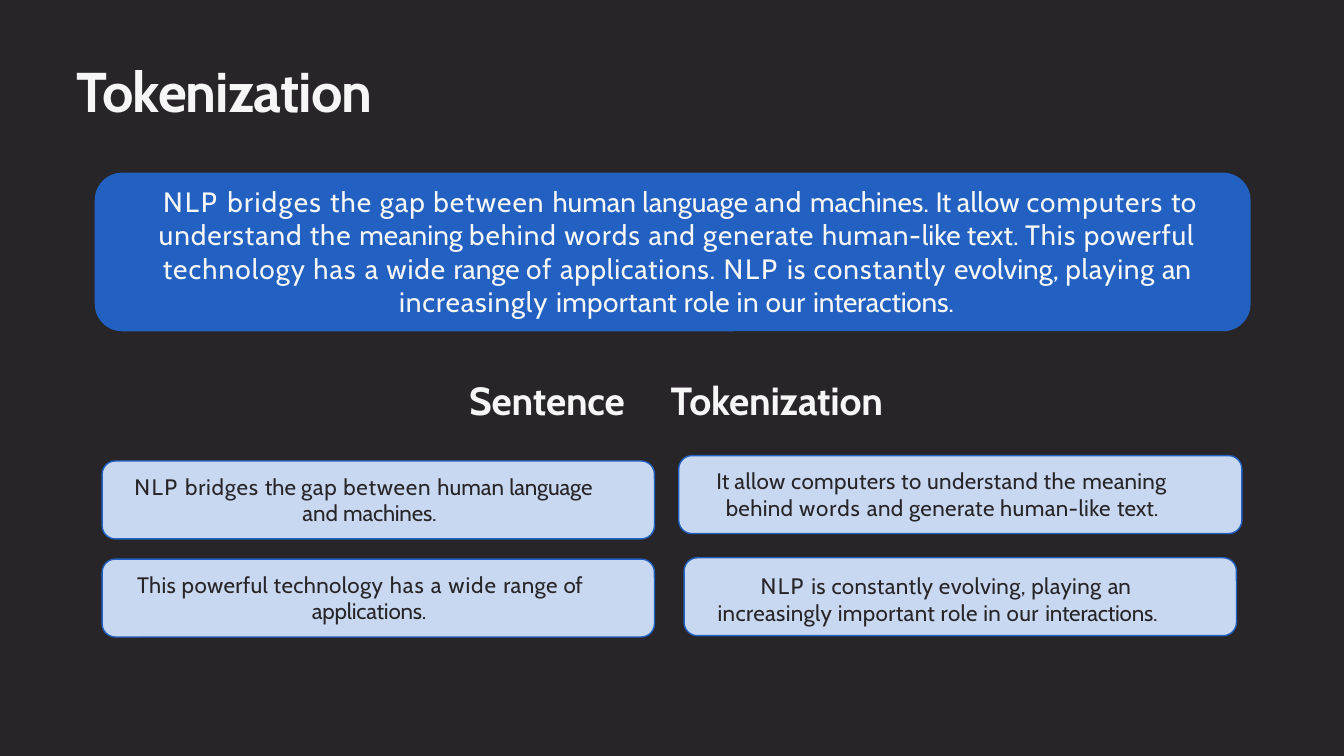
from pptx import Presentation
from pptx.dml.color import RGBColor
from pptx.enum.shapes import MSO_SHAPE
from pptx.enum.text import MSO_ANCHOR, MSO_AUTO_SIZE, PP_ALIGN
from pptx.oxml import parse_xml
from pptx.oxml.ns import nsdecls
from pptx.util import Inches, Pt

FONT = "Cabin"
DARK = RGBColor(0x27, 0x25, 0x28)
LIGHT = RGBColor(0xF6, 0xF6, 0xF6)
BLUE = RGBColor(0x22, 0x61, 0xC1)
PALE_BLUE = RGBColor(0xC8, 0xD8, 0xF0)

# Each span is a text and its letter spacing in points.
SUMMARY = [
    ("NLP ", 1.1), ("bridges ", 0.7), ("the ", 0.6), ("gap between ", 0.6),
    ("human language ", 0), ("and ", 0.6), ("machines. ", 0), ("It ", -0.3),
    ("allow ", 0.1), ("computers ", 0.6), ("to ", 0.3), ("understand the ", 0.5),
    ("meaning ", 0), ("behind ", 0.5), ("words ", 0.6), ("and generate ", 0.5),
    ("human-", 0.4), ("like text. ", 0), ("This ", 0.5), ("powerful ", 0.4),
    ("technology has ", 0.6), ("a ", 0.5), ("wide ", 0.5), ("range ", 0),
    ("of ", 0.6), ("applications. ", 0.4), ("NLP ", 1), ("is constantly ", 0.5),
    ("evolving, ", 0), ("playing ", 0.4), ("an ", -0.2), ("increasingly ", 0.5),
    ("important role in our ", 0.2), ("interactions.", -0.1),
]

# Card frame, text frame, left margin and first-line indent, spans.
SENTENCES = [
    ((5.05, 3.39, 4.19, 0.58), (5.32, 3.46, 3.65, 0.43), (0.08, -0.07), [
        ("It ", 0), ("allow computers to understand the ", 0.2),
        ("meaning ", 0.1), ("behind ", 0.2), ("words ", 0.5),
        ("and generate human-like ", 0.2), ("text.", 0)]),
    ((0.76, 4.16, 4.11, 0.58), (1.01, 4.23, 3.62, 0.43), (1.31, -1.3), [
        ("This powerful technology", 0.2), (" has a wide ", 0.5),
        ("range ", 0.2), ("of ", -0.2), ("applications.", -0.1)]),
    ((0.76, 3.43, 4.11, 0.58), (0.98, 3.5, 3.72, 0.43), (1.27, -1.25), [
        ("NLP ", 0.8), ("bridges ", 0.4), ("the ", 0), ("gap ", 0.4),
        ("between ", 0.4), ("human ", 0), ("language ", -0.1),
        ("and ", 0), ("machines.", -0.1)]),
    ((5.09, 4.15, 4.11, 0.58), (5.33, 4.24, 3.63, 0.43), (0.01, 0.32), [
        ("NLP ", 0.8), ("is constantly evolving, playing ", 0.2), ("an ", -0.2),
        ("increasingly important role in our ", 0.2), ("interactions.", -0.1)]),
]


def place(shape, frame):
    shape.left, shape.top, shape.width, shape.height = map(Inches, frame)


def add_card(page, frame, fill):
    card = page.shapes.add_shape(MSO_SHAPE.ROUNDED_RECTANGLE, *map(Inches, frame))
    card.adjustments[0] = 0.17
    card.shadow.inherit = False
    card.fill.solid()
    card.fill.fore_color.rgb = fill
    card.line.color.rgb = BLUE
    card.line.width = Pt(0.75)


def write(box, spans, size, color=LIGHT, bold=False, align=PP_ALIGN.LEFT,
          indent=(0, 0), line_spacing=None, top=0.01, tab=None):
    """Fill a box with one paragraph of (text, letter spacing) spans."""
    frame = box.text_frame
    frame.word_wrap = True
    frame.auto_size = MSO_AUTO_SIZE.NONE
    frame.vertical_anchor = MSO_ANCHOR.TOP
    frame.margin_left = frame.margin_right = frame.margin_bottom = 0
    frame.margin_top = Inches(top)
    para = frame.paragraphs[0]
    para.alignment = align
    para.line_spacing = line_spacing
    para.space_before = Pt(0)
    properties = para._p.get_or_add_pPr()
    properties.set("marL", str(Inches(indent[0])))
    properties.set("indent", str(Inches(indent[1])))
    if tab:
        properties.append(parse_xml(
            f'<a:tabLst {nsdecls("a")}><a:tab pos="{Inches(tab)}" algn="l"/></a:tabLst>'))
    for text, spacing in spans:
        span = para.add_run()
        span.text = text
        span.font.name = FONT
        span.font.size = Pt(size)
        span.font.bold = bold
        span.font.color.rgb = color
        span._r.get_or_add_rPr().set("spc", str(round(spacing * 100)))


def add_text(page, frame, spans, size, **style):
    box = page.shapes.add_textbox(*map(Inches, frame))
    write(box, spans, size, **style)


def main():
    deck = Presentation()
    deck.slide_width = Inches(10)
    deck.slide_height = deck.slide_width * 9 // 16
    page = deck.slides.add_slide(deck.slide_layouts[5])
    page.background.fill.solid()
    page.background.fill.fore_color.rgb = DARK

    title = page.shapes.title
    place(title, (0.56, 0.41, 4.73, 0.53))
    write(title, [("Tokenization", -0.5)], 30, bold=True, indent=(0.01, 0))

    add_card(page, (0.71, 1.29, 8.59, 1.17), BLUE)
    add_text(page, (0.88, 1.36, 8.3, 1.05), SUMMARY, 15,
             align=PP_ALIGN.CENTER, indent=(0.01, 0.05))
    add_text(page, (0.88, 2.8, 8.3, 0.36), [("Sentence\tTokenization", -0.1)], 21,
             bold=True, align=PP_ALIGN.CENTER, top=0, tab=1.62)

    for card, text_frame, indent, spans in SENTENCES:
        add_card(page, card, PALE_BLUE)
        add_text(page, text_frame, spans, 12, color=DARK, indent=indent,
                 line_spacing=Pt(14.3), top=0.02)

    deck.save("out.pptx")


if __name__ == "__main__":
    main()
